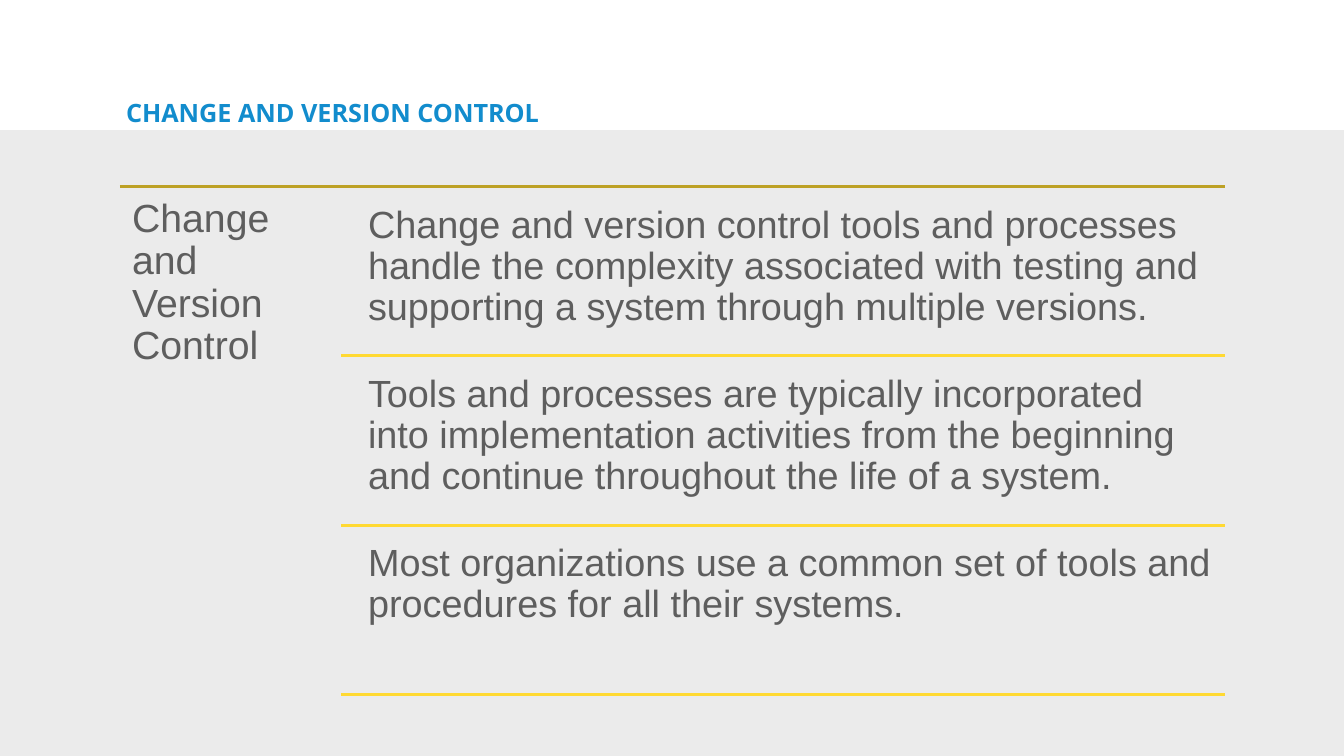
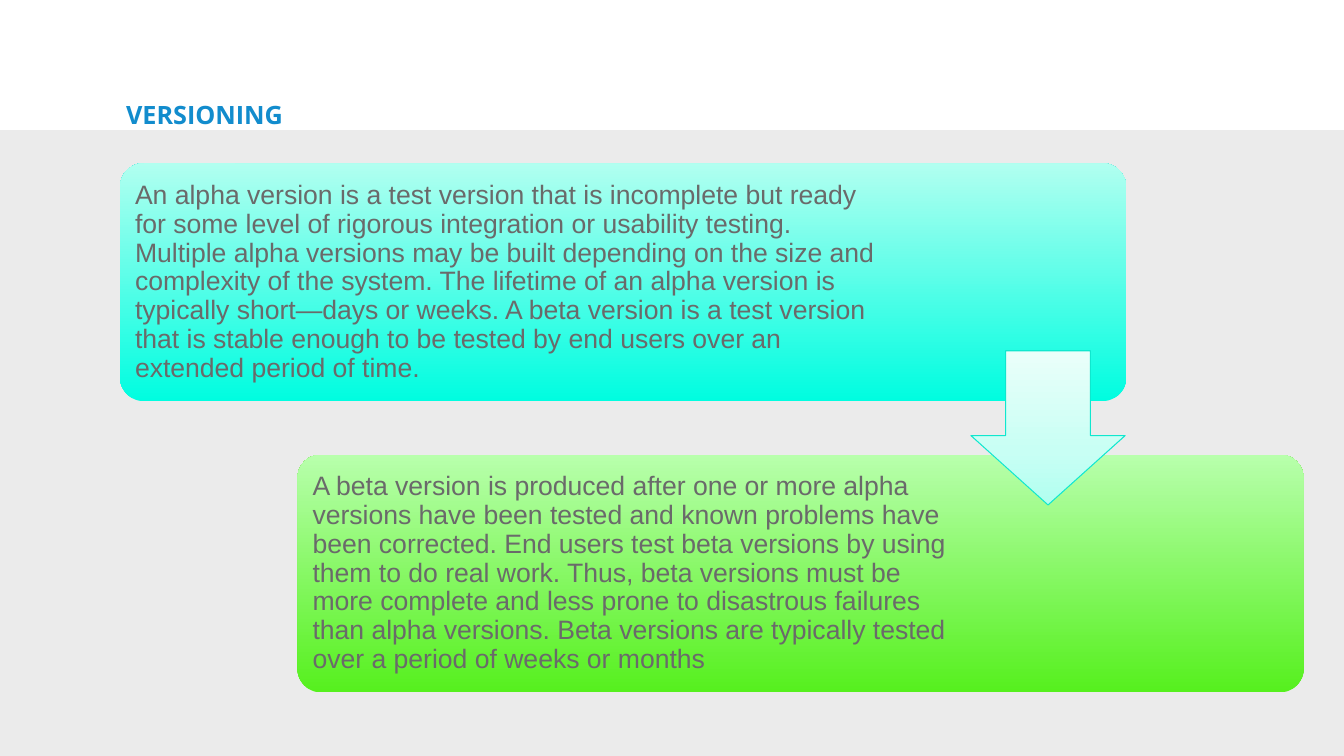
from dataclasses import dataclass

from lxml import etree
from pptx import Presentation
from pptx.dml.color import RGBColor
from pptx.enum.shapes import MSO_CONNECTOR, MSO_SHAPE
from pptx.enum.text import MSO_ANCHOR, MSO_AUTO_SIZE, PP_ALIGN
from pptx.oxml.ns import qn
from pptx.util import Inches, Pt

STRAIGHT = MSO_CONNECTOR.STRAIGHT
RECTANGLE, ROUNDED = MSO_SHAPE.RECTANGLE, MSO_SHAPE.ROUNDED_RECTANGLE
DOWN_ARROW = MSO_SHAPE.DOWN_ARROW
TOP, MIDDLE = MSO_ANCHOR.TOP, MSO_ANCHOR.MIDDLE
LEFT, FIXED = PP_ALIGN.LEFT, MSO_AUTO_SIZE.NONE

# Shared geometry and palette
WIDTH, HEIGHT = 13.33, 7.5
MARGIN, RIGHT = 1.19, 12.15
BAND_TOP = 1.29
BAND, TITLE, BODY, CARD_TEXT = "EBEBEB", "128CCD", "5E5E5E", "6A6A6A"
DARK_RULE, LIGHT_RULE, ARROW_EDGE = "BDA125", "FFD932", "10E7CE"

Stops = tuple[tuple[int, str], ...]


@dataclass(frozen=True)
class Style:
    size: float
    color: str
    inset: float
    font: str = "Arial"
    bold: bool = False
    spacing: float = 0.9
    anchor: MSO_ANCHOR = TOP


@dataclass(frozen=True)
class Card:
    text: str
    text_width: float
    stops: Stops


TITLE_STYLE = Style(18, TITLE, 0.06, "Open Sans", True, 1.15)
TOPIC_STYLE = Style(28, BODY, 0.12)
POINT_STYLE = Style(27, BODY, 0.11)
CARD_STYLE = Style(19, CARD_TEXT, 0.08, anchor=MIDDLE)

POINTS = (
    "Change and version control tools and processes handle the complexity "
    "associated with testing and supporting a system through multiple versions.",
    "Tools and processes are typically incorporated into implementation "
    "activities from the beginning and continue throughout the life of a system.",
    "Most organizations use a common set of tools and procedures for all "
    "their systems.",
)
CARDS = (
    Card(
        "An alpha version is a test version that is incomplete but ready for "
        "some level of rigorous integration or usability testing. Multiple alpha "
        "versions may be built depending on the size and complexity of the "
        "system. The lifetime of an alpha version is typically short—days or "
        "weeks. A beta version is a test version that is stable enough to be "
        "tested by end users over an extended period of time.",
        7.54, ((0, "00FDE0"), (100, "B1FFF0")),
    ),
    Card(
        "A beta version is produced after one or more alpha versions have been "
        "tested and known problems have been corrected. End users test beta "
        "versions by using them to do real work. Thus, beta versions must be "
        "more complete and less prone to disastrous failures than alpha "
        "versions. Beta versions are typically tested over a period of weeks or "
        "months",
        6.55, ((0, "56F01E"), (100, "B8FFAC")),
    ),
)
ARROW_STOPS: Stops = ((0, "B1FFF0"), (35, "C8FFF4"), (100, "EAFFFA"))


def rgb(color: str) -> RGBColor:
    return RGBColor.from_string(color)


def write(shape, text: str, style: Style) -> None:
    frame = shape.text_frame
    frame.word_wrap = True
    frame.auto_size = FIXED
    frame.vertical_anchor = style.anchor
    frame.margin_left = frame.margin_right = Inches(style.inset)
    frame.margin_top = frame.margin_bottom = Inches(style.inset)
    para = frame.paragraphs[0]
    para.alignment = LEFT
    para.line_spacing = style.spacing
    span = para.add_run()
    span.text = text
    span.font.name = style.font
    span.font.size = Pt(style.size)
    span.font.bold = style.bold
    span.font.color.rgb = rgb(style.color)


def add_text(page, left: float, top: float, width: float, height: float,
             text: str, style: Style) -> None:
    box = page.shapes.add_textbox(*map(Inches, (left, top, width, height)))
    write(box, text, style)


def add_shape(page, kind: MSO_SHAPE, left: float, top: float,
              width: float, height: float):
    shape = page.shapes.add_shape(kind, *map(Inches, (left, top, width, height)))
    shape.shadow.inherit = False
    shape.line.fill.background()
    return shape


def fill_upward(shape, stops: Stops) -> None:
    """Fill with a gradient whose first stop lies at the bottom."""
    shape.fill.gradient()
    shape.fill.gradient_angle = 90
    stop_list = shape.element.spPr.find(".//" + qn("a:gsLst"))
    for old in list(stop_list):
        stop_list.remove(old)
    for percent, color in stops:
        stop = etree.SubElement(stop_list, qn("a:gs"), pos=str(percent * 1000))
        etree.SubElement(stop, qn("a:srgbClr"), val=color)


def add_rule(page, left: float, y: float, color: str) -> None:
    rule = page.shapes.add_connector(
        STRAIGHT, Inches(left), Inches(y), Inches(RIGHT), Inches(y))
    rule.line.color.rgb = rgb(color)
    rule.line.width = Pt(2)
    etree.SubElement(rule.element.spPr, qn("a:effectLst"))


def add_page(deck, layout, title: str, top: float, height: float):
    page = deck.slides.add_slide(layout)
    box = page.shapes.title
    box.left, box.top, box.width, box.height = map(
        Inches, (MARGIN, top, 8.05, height))
    write(box, title, TITLE_STYLE)
    return page


def add_band(page, layout) -> None:
    """Place the grey band behind everything in the shared layout."""
    band = add_shape(page, RECTANGLE, 0, BAND_TOP, WIDTH, HEIGHT - BAND_TOP)
    band.fill.solid()
    band.fill.fore_color.rgb = rgb(BAND)
    layout.shapes.element.insert(2, band.element)


def draw_control(page) -> None:
    # Topic column
    top, pitch = 1.85, 1.68
    add_rule(page, MARGIN, top, DARK_RULE)
    add_text(page, MARGIN, top, 2.19, 5.12, "Change and Version Control",
             TOPIC_STYLE)
    # One row for each point, closed by a rule
    for row, point in enumerate(POINTS):
        row_top = top + 0.08 + row * pitch
        add_text(page, 3.54, row_top, 8.61, 1.6, point, POINT_STYLE)
        add_rule(page, 3.38, row_top + 1.6, LIGHT_RULE)


def draw_versioning(page) -> None:
    # Cards stepping down to the right
    width, height, pad = 9.98, 2.36, 0.07
    for step, card in enumerate(CARDS):
        left, top = MARGIN + step * 1.76, 1.62 + step * 2.89
        panel = add_shape(page, ROUNDED, left, top, width, height)
        panel.adjustments[0] = 0.1
        fill_upward(panel, card.stops)
        add_text(page, left + pad, top + pad, card.text_width,
                 height - 2 * pad, card.text, CARD_STYLE)
    # Arrow from the first card to the second
    arrow = add_shape(page, DOWN_ARROW, 9.63, 3.48, 1.53, 1.53)
    arrow.adjustments[0], arrow.adjustments[1] = 0.55, 0.45
    fill_upward(arrow, ARROW_STOPS)
    arrow.line.color.rgb = rgb(ARROW_EDGE)
    arrow.line.width = Pt(0.75)


def main() -> None:
    deck = Presentation()
    deck.slide_width, deck.slide_height = Inches(WIDTH), Inches(HEIGHT)
    layout = deck.slide_layouts.get_by_name("Title Only")
    control = add_page(deck, layout, "CHANGE AND VERSION CONTROL", 0.86, 0.45)
    add_band(control, layout)
    draw_control(control)
    draw_versioning(add_page(deck, layout, "VERSIONING", 0.88, 0.42))
    deck.save("out.pptx")


if __name__ == "__main__":
    main()
